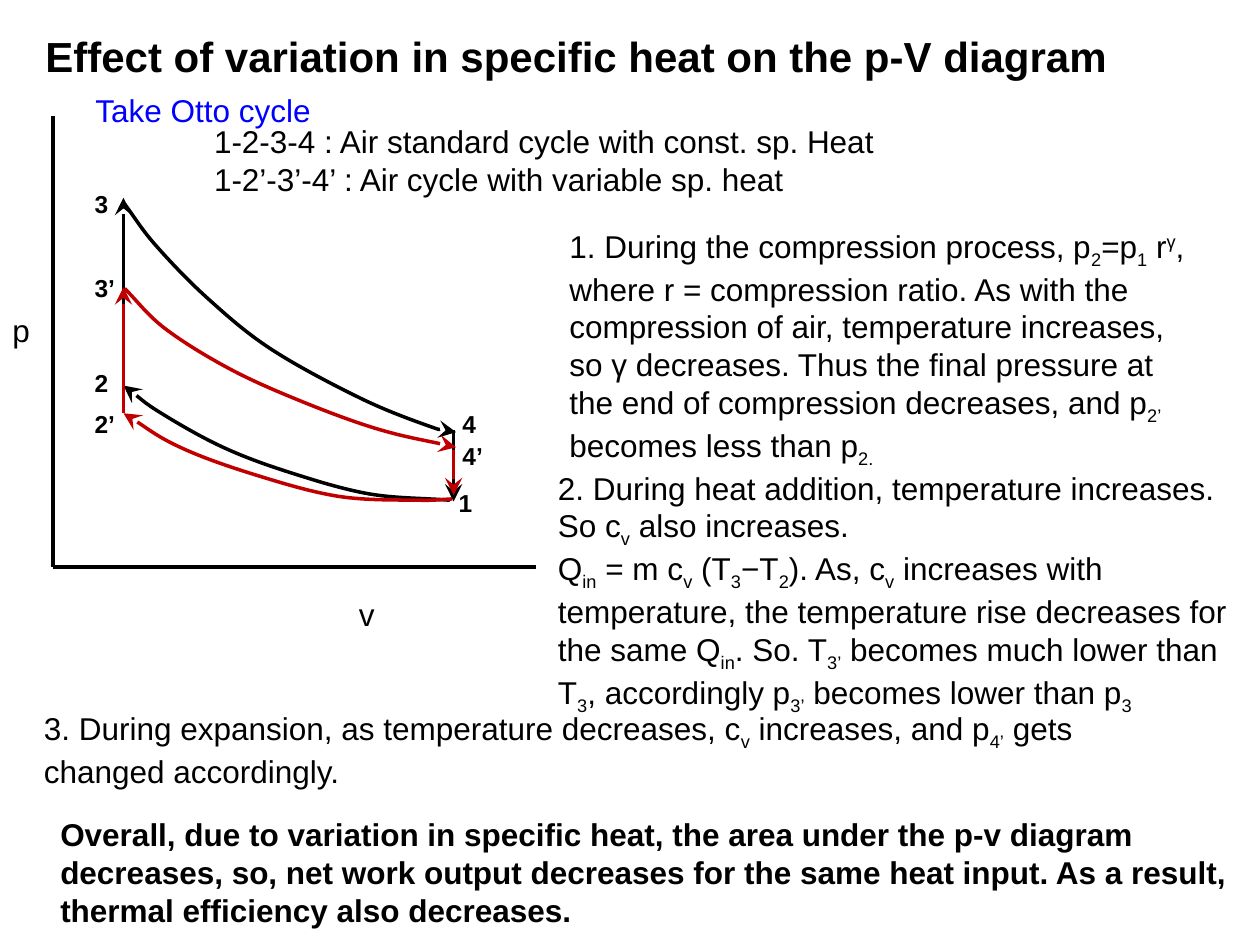
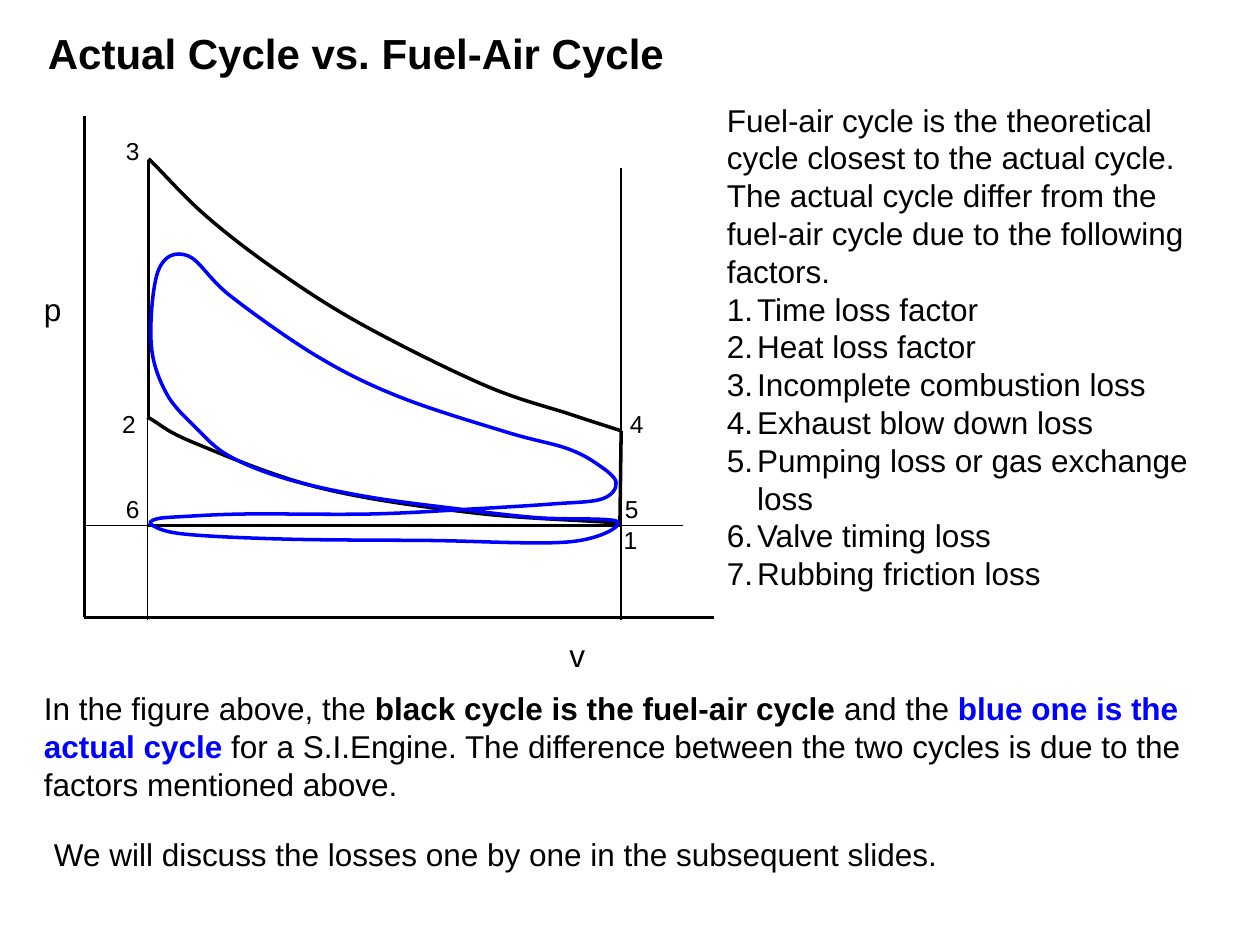
from pptx import Presentation
from pptx.dml.color import RGBColor
from pptx.enum.shapes import MSO_CONNECTOR
from pptx.enum.text import MSO_ANCHOR, MSO_AUTO_SIZE, PP_ALIGN
from pptx.oxml.ns import qn
from pptx.oxml.xmlchemy import OxmlElement
from pptx.util import Pt

SCALE = 9144
STRAIGHT = MSO_CONNECTOR.STRAIGHT
TOP = MSO_ANCHOR.TOP
LEFT = PP_ALIGN.LEFT
GROW = MSO_AUTO_SIZE.SHAPE_TO_FIT_TEXT
TITLE_ONLY = 5

FONT = "Arial"
BLACK = "000000"
BLUE = "0000FF"
RED = "C00000"

LABEL_SIZE = 14
BODY_SIZE = 18
TITLE_SIZE = 24
TITLE_WIDTH = 920
LIST_INDENT = 24
BODY_INSETS = (10, 5, 10, 5)


def px(length):
    return round(length * SCALE)


def color(value):
    return RGBColor.from_string(value)


def sub(text):
    return text, {"baseline": -25}


def sup(text):
    return text, {"baseline": 30}


def bold(text, ink=BLACK):
    return text, {"strong": True, "ink": ink}


def curve_points(knots, closed):
    if closed:
        chain = [knots[-1], *knots, *knots[:2]]
    else:
        (x0, y0), (x1, y1) = knots[:2]
        (x2, y2), (x3, y3) = knots[-2:]
        chain = [(2 * x0 - x1, 2 * y0 - y1), *knots, (2 * x3 - x2, 2 * y3 - y2)]
    points = []
    for before, start, end, after in zip(chain, chain[1:], chain[2:], chain[3:]):
        points.append(tuple(s + (e - b) / 6 for b, s, e in zip(before, start, end)))
        points.append(tuple(e - (a - s) / 6 for s, e, a in zip(start, end, after)))
        points.append(end)
    return [(px(x), px(y)) for x, y in points]


class SlideWriter:
    def __init__(self, deck):
        self.deck = deck
        self.page = None

    def title(self, text, left, top):
        self.page = self.deck.slides.add_slide(self.deck.slide_layouts[TITLE_ONLY])
        box = self.page.shapes.title
        box.left, box.top, box.width, box.height = map(px, (left, top, TITLE_WIDTH, 50))
        self.fill_box(box, [[bold(text)]], TITLE_SIZE, BODY_INSETS, True)

    def text(self, left, top, width, height, *paragraphs, wrap=True,
             size=BODY_SIZE, insets=BODY_INSETS):
        box = self.page.shapes.add_textbox(*map(px, (left, top, width, height)))
        self.fill_box(box, paragraphs, size, insets, wrap)
        return box

    def fill_box(self, box, paragraphs, size, insets, wrap):
        frame = box.text_frame
        frame.word_wrap = wrap
        frame.auto_size = GROW
        frame.vertical_anchor = TOP
        (frame.margin_left, frame.margin_top,
         frame.margin_right, frame.margin_bottom) = map(px, insets)
        for index, spans in enumerate(paragraphs):
            para = frame.add_paragraph() if index else frame.paragraphs[0]
            para.alignment = LEFT
            for span in spans:
                text, style = (span, {}) if isinstance(span, str) else span
                self.span(para, text, size, **style)

    def span(self, para, text, size, strong=False, ink=BLACK, baseline=0):
        span = para.add_run()
        span.text = text
        span.font.name = FONT
        span.font.size = Pt(size)
        span.font.bold = strong
        span.font.color.rgb = color(ink)
        if baseline:
            span.font._element.set("baseline", str(baseline * 1000))

    def number(self, paragraphs):
        for para in paragraphs:
            properties = para._p.get_or_add_pPr()
            properties.set("marL", str(px(LIST_INDENT)))
            properties.set("indent", str(-px(LIST_INDENT)))
            numbering = OxmlElement("a:buAutoNum")
            numbering.set("type", "arabicPeriod")
            properties.append(numbering)

    def labels(self, places, width, strong=False):
        for text, left, top in places:
            self.text(left, top, width, 23, [(text, {"strong": strong})], wrap=False,
                      size=LABEL_SIZE, insets=(0, 0, 0, 0))

    def stroke(self, shape, ink, weight, arrow):
        shape.line.color.rgb = color(ink)
        shape.line.width = Pt(weight)
        if arrow:
            tail = OxmlElement("a:tailEnd")
            for name, value in (("type", "stealth"), ("w", "lg"), ("len", "lg")):
                tail.set(name, value)
            shape.line._get_or_add_ln().append(tail)

    def line(self, start, end, ink=BLACK, weight=2, arrow=False):
        line = self.page.shapes.add_connector(STRAIGHT, *map(px, (*start, *end)))
        self.stroke(line, ink, weight, arrow)
        line._element.spPr.append(OxmlElement("a:effectLst"))

    def curve(self, knots, ink=BLACK, arrow=False, closed=False):
        builder = self.page.shapes.build_freeform(*map(px, knots[0]))
        builder.add_line_segments(curve_points(knots, closed), close=closed)
        shape = builder.convert_to_shape()
        shape.shadow.inherit = False
        shape.fill.background()
        self.stroke(shape, ink, 2, arrow)
        steps = list(shape._element.iter(qn("a:lnTo")))
        for first, second, third in zip(steps[::3], steps[1::3], steps[2::3]):
            first.extend([second[0], third[0]])
            first.tag = qn("a:cubicBezTo")
            for spare in (second, third):
                spare.getparent().remove(spare)

    def axes(self, left, top, bottom, right, pressure, volume):
        self.line((left, top), (left, bottom))
        self.line((left, bottom), (right, bottom))
        self.text(*pressure, 34, 40, ["p"], wrap=False)
        self.text(*volume, 32, 40, ["v"], wrap=False)


def specific_heat_slide(writer):
    writer.title("Effect of variation in specific heat on the p-V diagram", 26, 19)
    writer.text(66, 67, 193, 40, [("Take Otto cycle", {"ink": BLUE})], wrap=False)

    writer.axes(42, 92, 450, 425, (0, 242), (275, 467))
    writer.curve([(357, 397), (293, 392), (230, 375), (177, 355), (128, 328), (98, 306)],
                 arrow=True)
    writer.line((98, 307), (98, 157), arrow=True)
    writer.curve([(99, 162), (123, 194), (164, 236), (215, 277), (286, 316),
                  (340, 338), (362, 343)], arrow=True)
    writer.line((360, 341), (360, 398), arrow=True)

    writer.line((98, 328), (98, 228), RED, arrow=True)
    writer.curve([(359, 396), (332, 397), (269, 394), (203, 377), (143, 355), (98, 328)],
                 RED, arrow=True)
    writer.curve([(99, 229), (130, 260), (179, 291), (233, 316), (298, 340), (362, 355)],
                 RED, arrow=True)
    writer.line((360, 357), (360, 393), RED, arrow=True)

    writer.labels([("1", 364, 387), ("2", 75, 292), ("3", 75, 150), ("4", 367, 325),
                   ("2’", 75, 325), ("3’", 75, 217), ("4’", 367, 350)], 22, strong=True)

    writer.text(160, 92, 545, 70,
                ["1-2-3-4 : Air standard cycle with const. sp. Heat"],
                ["1-2’-3’-4’ : Air cycle with variable sp. heat"], wrap=False)
    writer.text(442, 175, 525, 203, [
        "1. During the compression process, p", sub("2"), "=p", sub("1"), " r", sup("γ"),
        ", where r = compression ratio. As with the compression of air, temperature "
        "increases, so γ decreases. Thus the final pressure at the end of compression "
        "decreases, and p", sub("2’"), " becomes less than p", sub("2.")])
    writer.text(433, 367, 567, 207, [
        "2. During heat addition, temperature increases. So c", sub("v"),
        " also increases."], [
        "Q", sub("in"), " = m c", sub("v"), " (T", sub("3"), "−T", sub("2"), "). As, c",
        sub("v"), " increases with temperature, the temperature rise decreases for the "
        "same Q", sub("in"), ". So. T", sub("3’"), " becomes much lower than T", sub("3"),
        ", accordingly p", sub("3’"), " becomes lower than p", sub("3")])
    writer.text(25, 558, 925, 74, [
        "3. During expansion, as temperature decreases, c", sub("v"),
        " increases, and p", sub("4’"), " gets changed accordingly."])
    writer.text(38, 642, 962, 100, [bold(
        "Overall, due to variation in specific heat, the area under the p-v diagram "
        "decreases, so, net work output decreases for the same heat input. As a result, "
        "thermal efficiency also decreases.")])


def actual_cycle_slide(writer):
    writer.title("Actual Cycle vs. Fuel-Air Cycle", 28, 17)

    writer.axes(67, 92, 490, 567, (25, 225), (442, 500))
    writer.line((67, 417), (542, 417), weight=1)
    for volume in (117, 493):
        writer.line((volume, 492), (volume, 133), weight=1)

    writer.curve([(490, 415), (375, 407), (253, 387), (153, 351), (117, 331)])
    writer.line((118, 331), (118, 127))
    writer.curve([(118, 126), (163, 171), (220, 215), (288, 258), (385, 306),
                  (453, 329), (493, 342)])
    writer.line((493, 342), (492, 417))
    writer.line((492, 417), (117, 417))
    writer.curve([(490, 414), (427, 411), (364, 404), (290, 394), (227, 380), (182, 362),
                  (156, 340), (132, 312), (120, 272), (126, 214), (149, 203), (183, 235),
                  (252, 283), (317, 315), (402, 343), (450, 356), (475, 369), (489, 383),
                  (478, 396), (439, 400), (375, 404), (295, 408), (196, 408), (146, 410),
                  (124, 412), (121, 417), (147, 424), (229, 428), (340, 429), (453, 430)],
                 BLUE, closed=True)
    writer.labels([("4", 500, 325), ("1", 495, 417), ("2", 97, 325), ("3", 100, 108),
                   ("5", 496, 392), ("6", 100, 392)], 16)

    losses = ["Time loss factor", "Heat loss factor", "Incomplete combustion loss",
              "Exhaust blow down loss", "Pumping loss or gas exchange loss",
              "Valve timing loss", "Rubbing friction loss"]
    factors = writer.text(567, 75, 408, 430, [
        "Fuel-air cycle is the theoretical cycle closest to the actual cycle. The actual "
        "cycle differ from the fuel-air cycle due to the following factors."],
        *[[loss] for loss in losses])
    writer.number(factors.text_frame.paragraphs[1:])

    writer.text(25, 542, 950, 100, [
        "In the figure above, the ", bold("black cycle is the fuel-air cycle "), "and the ",
        bold("blue one is the actual cycle", BLUE),
        " for a S.I.Engine. The difference between the two cycles is due to the factors "
        "mentioned above."])
    writer.text(33, 658, 722, 40,
                ["We will discuss the losses one by one in the subsequent slides."],
                wrap=False)


def main():
    deck = Presentation()
    deck.slide_width, deck.slide_height = px(1000), px(750)
    writer = SlideWriter(deck)
    specific_heat_slide(writer)
    actual_cycle_slide(writer)
    deck.save("out.pptx")


if __name__ == "__main__":
    main()
